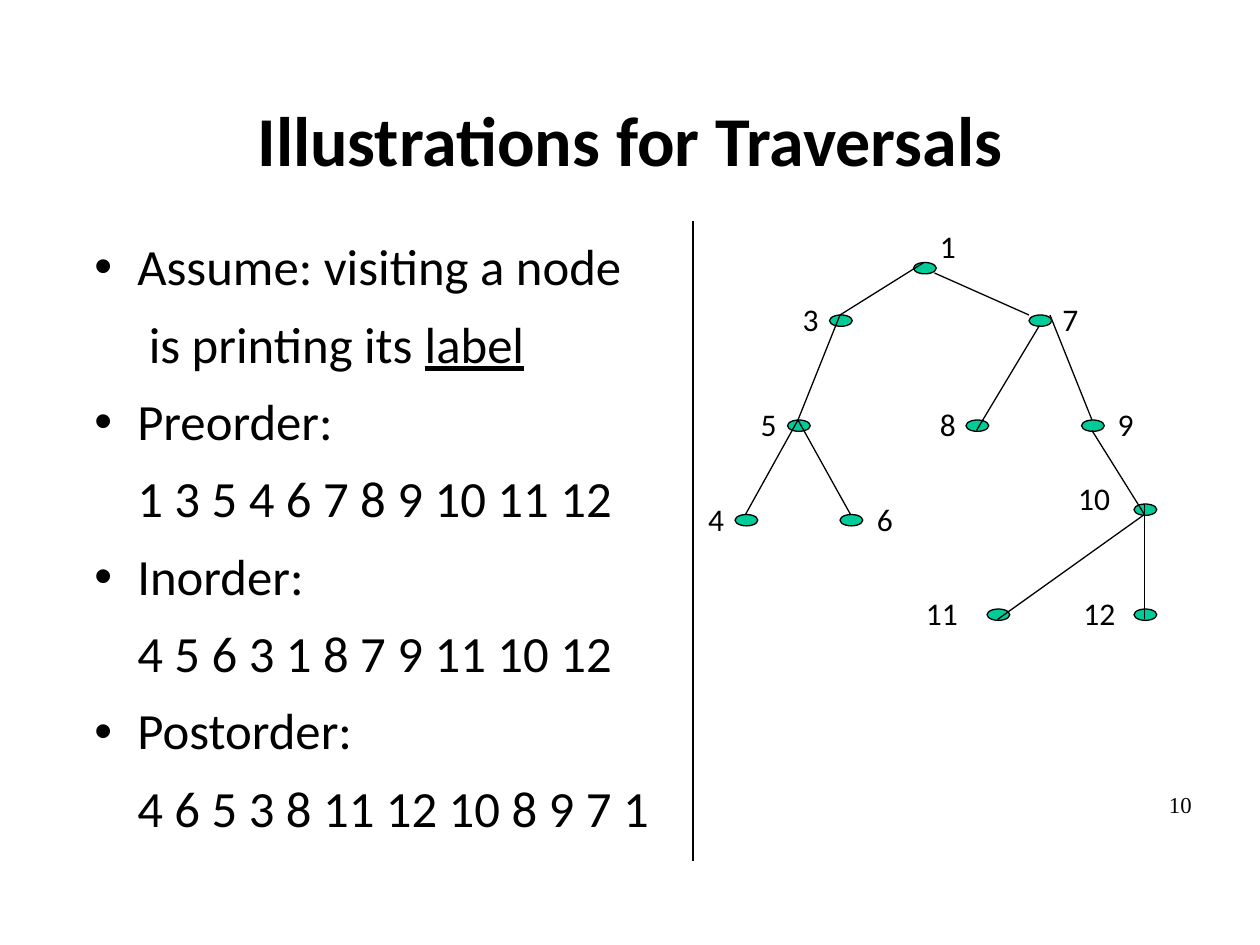
from lxml.etree import SubElement
from pptx import Presentation
from pptx.dml.color import RGBColor
from pptx.enum.shapes import MSO_CONNECTOR, MSO_SHAPE
from pptx.enum.text import MSO_ANCHOR, PP_ALIGN
from pptx.oxml.ns import qn
from pptx.util import Pt

BLACK = RGBColor(0x00, 0x00, 0x00)
GREEN = RGBColor(0x00, 0xCC, 0x99)
NODE_WIDTH, NODE_HEIGHT = 13, 6.5
BODY_INDENT = 24.5


def format_paragraph(paragraph, size, font_name="Calibri"):
    paragraph.font.size = Pt(size)
    paragraph.font.name = font_name
    paragraph.font.color.rgb = BLACK


def add_line(shapes, *ends):
    line = shapes.add_connector(MSO_CONNECTOR.STRAIGHT, *map(Pt, ends))
    line.line.color.rgb = BLACK
    line.line.width = Pt(0.75)
    SubElement(line._element.spPr, qn("a:effectLst"))


presentation = Presentation()
presentation.slide_width = Pt(720)
presentation.slide_height = Pt(540)
slide = presentation.slides.add_slide(presentation.slide_layouts[5])

title = slide.shapes.title
title.left, title.top, title.width, title.height = Pt(54), Pt(48), Pt(612), Pt(66)
title.text_frame.text = "Illustrations for Traversals"
title.text_frame.vertical_anchor = MSO_ANCHOR.MIDDLE
paragraph = title.text_frame.paragraphs[0]
paragraph.alignment = PP_ALIGN.CENTER
paragraph.line_spacing = 0.97
format_paragraph(paragraph, 40)
paragraph.font.bold = True

body = slide.shapes.add_textbox(Pt(54), Pt(126), Pt(612), Pt(354)).text_frame
body.word_wrap = True
body.margin_left = body.margin_right = body.margin_bottom = 0
body.margin_top = Pt(12.2)
traversals = [
    ("Assume: visiting a node", " is printing its ", "label"),
    ("Preorder:", "1 3 5 4 6 7 8 9 10 11 12", ""),
    ("Inorder:", "4 5 6 3 1 8 7 9 11 10 12", ""),
    ("Postorder:", "4 6 5 3 8 11 12 10 8 9 7 1", ""),
]
for index, (heading, detail, underlined) in enumerate(traversals):
    heading_paragraph = body.add_paragraph() if index else body.paragraphs[0]
    detail_paragraph = body.add_paragraph()
    for paragraph, text in ((heading_paragraph, heading), (detail_paragraph, detail)):
        paragraph.add_run().text = text
        paragraph.line_spacing = 0.9
        paragraph.space_after = Pt(12.9)
        properties = paragraph._p.get_or_add_pPr()
        properties.set("marL", str(Pt(BODY_INDENT)))
        if paragraph is heading_paragraph:
            properties.set("indent", str(-Pt(BODY_INDENT)))
            SubElement(properties, qn("a:buFont"), typeface="Arial")
            SubElement(properties, qn("a:buChar"), char="•")
        format_paragraph(paragraph, 29)
    if underlined:
        run = detail_paragraph.add_run()
        run.text = underlined
        run.font.underline = True

page_number = slide.shapes.add_textbox(Pt(640), Pt(451.5), Pt(48), Pt(41)).text_frame
page_number.word_wrap = True
page_number.text = "10"
paragraph = page_number.paragraphs[0]
paragraph.alignment = PP_ALIGN.RIGHT
paragraph.line_spacing = 0.78
format_paragraph(paragraph, 13, "Times New Roman")

tree = slide.shapes.add_group_shape().shapes
nodes = [
    ("1", 522, 150, 530, 126),
    ("3", 474, 180, 451.5, 168),
    ("7", 588, 180, 600, 168),
    ("5", 450, 240, 427.5, 228),
    ("8", 552, 240, 530, 228),
    ("9", 618, 240, 631.5, 228),
    ("4", 420, 294, 397.5, 282),
    ("6", 480, 294, 494, 282),
    ("10", 648, 288, 609, 270),
    ("11", 564, 348, 522, 336),
    ("12", 648, 348, 612, 336),
]
for label, left, top, label_left, label_top in nodes:
    node = tree.add_shape(MSO_SHAPE.OVAL, Pt(left), Pt(top), Pt(NODE_WIDTH), Pt(NODE_HEIGHT))
    node.shadow.inherit = False
    node.fill.solid()
    node.fill.fore_color.rgb = GREEN
    node.line.color.rgb = BLACK
    node.line.width = Pt(0.75)
    label_width = 3 + 20 * len(label)
    frame = tree.add_textbox(Pt(label_left), Pt(label_top), Pt(label_width), Pt(29)).text_frame
    frame.word_wrap = True
    frame.margin_right = 0
    frame.text = label
    format_paragraph(frame.paragraphs[0], 18)

edges = [
    (528, 150, 480, 180),
    (534, 156, 588, 180),
    (480, 180, 456, 240),
    (594, 186, 558, 246),
    (600, 180, 624, 240),
    (456, 240, 426, 294),
    (456, 240, 486, 294),
    (624, 246, 654, 294),
    (654, 294, 570, 354),
    (654, 288, 654, 354),
]
for edge in edges:
    add_line(tree, *edge)

add_line(slide.shapes, 396, 126, 396, 492)

presentation.save("out.pptx")
